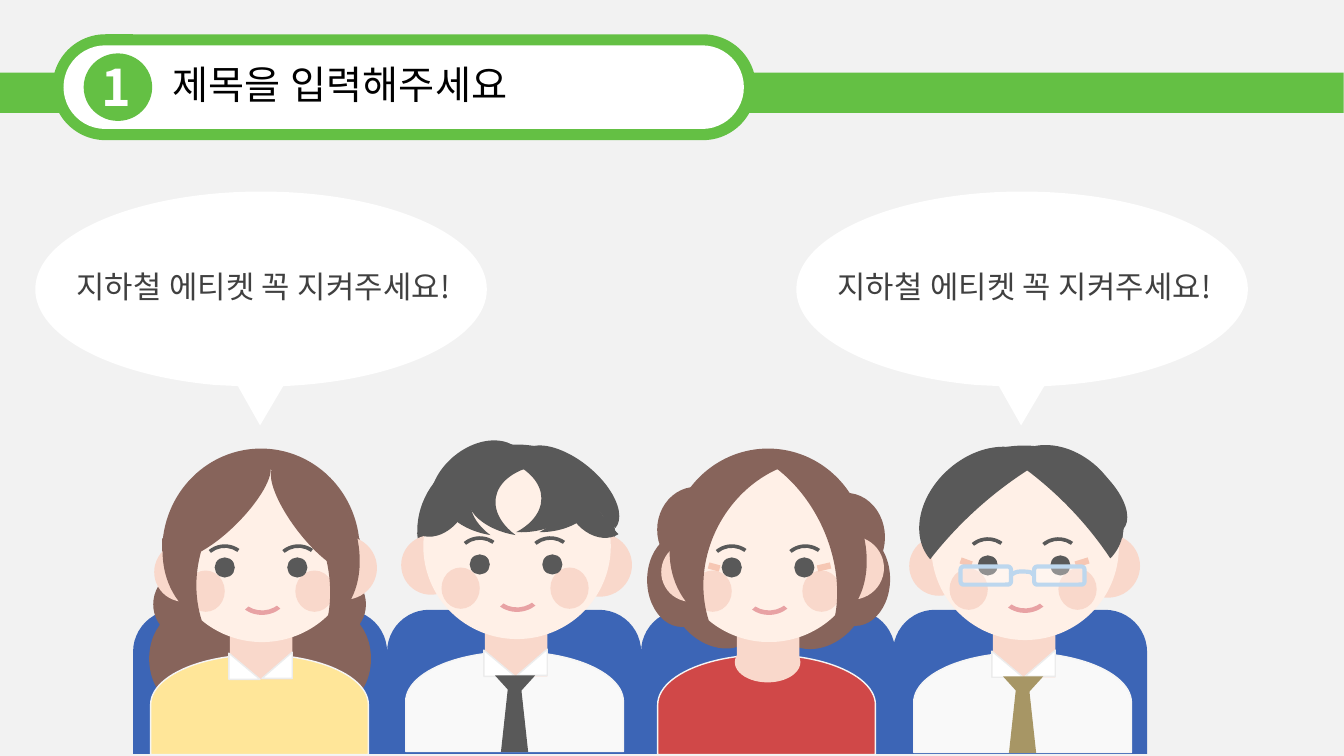
import lxml.etree
import pptx
import pptx.dml.color
import pptx.enum.shapes
import pptx.enum.text
import pptx.oxml.ns
import pptx.util

Inches = pptx.util.Inches
Pt = pptx.util.Pt
RGBColor = pptx.dml.color.RGBColor
SHAPE = pptx.enum.shapes.MSO_SHAPE
qn = pptx.oxml.ns.qn

FONT = "Noto Sans CJK KR"
WIDTH, HEIGHT = 40 / 3, 7.5
BACKDROP = RGBColor(0xF2, 0xF2, 0xF2)
GREEN = RGBColor(0x64, 0xC0, 0x44)
WHITE = RGBColor(0xFF, 0xFF, 0xFF)
BLACK = RGBColor(0x00, 0x00, 0x00)
GRAY_TEXT = RGBColor(0x40, 0x40, 0x40)
SEAT_BLUE = RGBColor(0x3C, 0x65, 0xB6)
BROWN = RGBColor(0x87, 0x64, 0x5B)
CHARCOAL = RGBColor(0x59, 0x59, 0x59)
SKIN = RGBColor(0xFF, 0xF0, 0xE7)
PINK = RGBColor(0xF9, 0xD8, 0xCB)
BLUSH = RGBColor(0xF6, 0xC7, 0xB4)
LIPS = RGBColor(0xE8, 0xA2, 0xA4)
YELLOW = RGBColor(0xFF, 0xE6, 0x99)
RED = RGBColor(0xD0, 0x48, 0x48)
SHIRT = RGBColor(0xF9, 0xF9, 0xF9)
CLOTHES_EDGE = RGBColor(0xF5, 0xF5, 0xF5)
COLLAR_EDGE = RGBColor(0xEC, 0xEC, 0xEC)
KHAKI = RGBColor(0xA7, 0x96, 0x65)
GLASSES = RGBColor(0xBD, 0xD7, 0xEE)

# Hair parts, measured from the corner of the face: left, top, width, height, turn, thickness
LONG_HAIR = [(1.27, 1.12, .69, .69), (1.32, 1.54, .69, .93), (-.19, 1.54, .69, .93),
             (-.15, 1.12, .69, .69), (-.06, -.08, 1.96, 2.02)]
CURLY_HAIR = [(1.11, 1.05, .69, .93, 51.9), (.04, 1.04, .69, .93, 130.1),
              (1.31, .36, .77, .88), (1.44, .75, .69, .93), (-.28, .76, .69, .93),
              (-.18, .3, .77, .85), (-.06, -.08, 1.96, 2.02)]
PARTING = [(.01, -.2, .77, 1.75, 27.5, .543), (1.16, -.22, .66, 1.82, 155.5, .55)]
LONG_FRINGE = [(1.24, -.04, .41, 1.3, 322.5), (.33, -.13, .41, 1.3, 45)]
CURLED_LOCKS = ([(x, .1, .54, .67, 9, .535) for x in (.18, .43)]
                + [(x, .11, .54, .67, 180, .535) for x in (.92, .97, 1.15)]
                + [(.51, -.56, .84, 1.85, 90, .246), (1.45, .16, .3, .78, 327.6, .875),
                   (.11, .14, .3, .78, 210, .875), (.22, -.36, .4, 1.1, 48.7, .875),
                   (1.39, -.35, .3, 1.19, 129.2, .875)])
SWEPT_LOCKS = [(.08, -.38, .55, 1.46, 48.7, .875), (1.39, -.35, .3, 1.19, 129.2, .875),
               (1.2, -.36, .55, 1.4, 135, .875)]

# Curved outlines: C takes three points, L takes one
BUBBLE = [(2.24, 0), (3.48, 0), (4.48, .43), (4.48, .97), (4.48, 1.47), (3.6, 1.88),
          (2.47, 1.93), (2.46, 1.93), (2.23, 2.32), (2.01, 1.93), (1.79, 1.92),
          (.77, 1.83), (0, 1.44), (0, .97), (0, .43), (1.01, 0), (2.24, 0)]
BUBBLE_STEPS = "CCLLLLCC"
BRIDGE = [(.78, 1.2), (.81, 1.18), (.84, 1.16), (.88, 1.16), (.91, 1.16), (.97, 1.16),
          (.99, 1.17), (1.01, 1.18), (1.01, 1.19), (1.01, 1.2)]
BRIDGE_STEPS = "CCC"


class Region:
    """A set of shapes placed from one corner, in inches."""

    def __init__(self, shapes, left, top):
        self.shapes, self.left, self.top = shapes, left, top

    def point(self, x, y):
        return Inches(self.left + x), Inches(self.top + y)

    def shape(self, kind, x, y, width, height, fill, turn=0, adjust=(), edge=None,
              edge_width=1, flip=False):
        part = self.shapes.add_shape(kind, *self.point(x, y), Inches(width), Inches(height))
        part.rotation = turn
        for index, value in enumerate(adjust):
            part.adjustments[index] = value
        if flip:
            part._element.spPr.get_or_add_xfrm().set("flipH", "1")
        paint(part, fill, edge, edge_width)
        return part

    def ellipse(self, x, y, width, height, fill, turn=0):
        return self.shape(SHAPE.OVAL, x, y, width, height, fill, turn)

    def moons(self, locks, fill):
        for x, y, width, height, turn, thickness in locks:
            self.shape(SHAPE.MOON, x, y, width, height, fill, turn, [thickness])

    def outline(self, points, steps, closed):
        start, *others = [self.point(*point) for point in points]
        builder = self.shapes.build_freeform(*start)
        builder.add_line_segments(others, close=closed)
        part = builder.convert_to_shape()
        segments = iter(part._element.spPr.findall(".//" + qn("a:lnTo")))
        for step in steps:
            segment = next(segments)
            if step == "C":
                segment.tag = qn("a:cubicBezTo")
                for _ in range(2):
                    control = next(segments)
                    segment.append(control[0])
                    control.getparent().remove(control)
        return part

    def text(self, x, y, width, height, words, size, color, bold=False):
        box = self.shapes.add_textbox(*self.point(x, y), Inches(width), Inches(height))
        write(box.text_frame, words, size, color, bold)


def paint(part, fill, edge=None, edge_width=1):
    part.shadow.inherit = False
    if fill is None:
        part.fill.background()
    else:
        part.fill.solid()
        part.fill.fore_color.rgb = fill
    if edge is None:
        part.line.fill.background()
    else:
        part.line.color.rgb = edge
        part.line.width = Pt(edge_width)


def write(frame, words, size, color, bold=False):
    frame.word_wrap = True
    frame.vertical_anchor = pptx.enum.text.MSO_ANCHOR.TOP
    paragraph = frame.paragraphs[0]
    paragraph.text = words
    paragraph.alignment = pptx.enum.text.PP_ALIGN.LEFT
    font = paragraph.font
    font.size, font.bold, font.name = Pt(size), bold, FONT
    font.color.rgb = color
    font._rPr.set("spc", "20")
    lxml.etree.SubElement(font._rPr, qn("a:ea"), typeface=FONT)


def header(slide, left, top, number, words):
    region = Region(slide.shapes, left, top)
    region.shape(SHAPE.RECTANGLE, -.04, .38, 13.37, .4, GREEN)
    region.shape(SHAPE.ROUNDED_RECTANGLE, .52, 0, 6.98, 1.05, GREEN, adjust=[.5])
    region.shape(SHAPE.ROUNDED_RECTANGLE, .63, .11, 6.75, .83, WHITE, adjust=[.5])
    region.ellipse(.83, .19, .68, .67, GREEN)
    title = slide.shapes.title
    title.left, title.top = region.point(1.61, .21)
    title.width, title.height = Inches(4.74), Inches(.57)
    write(title.text_frame, words, 28, BLACK)
    slide.shapes._spTree.append(title._element)  # in front of the white pill
    region.text(.91, .17, .54, .71, number, 36, WHITE, bold=True)


def seats(slide, top, lefts):
    for left in lefts:
        Region(slide.shapes, left, top).shape(SHAPE.ROUND_2_SAME_RECTANGLE, 0, 0, 2.52, 1.43,
                                              SEAT_BLUE, adjust=[.292, 0])


def bust(person, clothes, ear_left, ear_top, neck_height=.72):
    person.shape(SHAPE.FLOWCHART_DELAY, .41, 1.38, .99, 2.16, clothes, 270, edge=CLOTHES_EDGE)
    person.shape(SHAPE.RECTANGLE, .61, 1.49, .62, neck_height, PINK)
    person.ellipse(ear_left, ear_top, .59, .59, PINK)
    person.ellipse(1.43, .79, .64, .63, PINK)
    person.ellipse(0, 0, 1.86, 1.84, SKIN)
    for x in (.18, 1.26):
        person.ellipse(x, 1.13, .38, .41, PINK)


def collar(person):
    person.shape(SHAPE.RIGHT_TRIANGLE, .6, 1.95, .31, .26, WHITE, edge=COLLAR_EDGE)
    person.shape(SHAPE.RIGHT_TRIANGLE, .93, 1.94, .3, .26, WHITE, edge=COLLAR_EDGE, flip=True)


def features(person, brows, brow_top):
    person.shape(SHAPE.BLOCK_ARC, .68, 1.15, .51, .42, LIPS, 176.2, [134.25, 192.99, .106])
    for eye, brow in zip((.46, 1.18), brows):
        person.ellipse(eye, 1, .2, .2, CHARCOAL)
        person.shape(SHAPE.BLOCK_ARC, brow, brow_top, .5, .5, CHARCOAL, 305.5,
                     [108, 153.07, .071], flip=True)


def blush(person, strokes):
    for start, end in strokes:
        stroke = person.shapes.add_connector(pptx.enum.shapes.MSO_CONNECTOR.STRAIGHT,
                                             *person.point(*start), *person.point(*end))
        stroke.line.color.rgb = BLUSH
        stroke.line.width = Pt(4.5)
        lxml.etree.SubElement(stroke._element.spPr, qn("a:effectLst"))


def glasses(person):
    for x in (.29, 1.02):
        lens = person.shape(SHAPE.ROUNDED_RECTANGLE, x, 1.11, .5, .18, WHITE,
                            edge=GLASSES, edge_width=3)
        tint = lens._element.spPr.find(qn("a:solidFill"))[0]
        lxml.etree.SubElement(tint, qn("a:alpha"), val="34000")
    paint(person.outline(BRIDGE, BRIDGE_STEPS, closed=False), None, GLASSES, 3)


def woman(slide, left, top, clothes, back_hair, long_hair):
    person = Region(slide.shapes.add_group_shape().shapes, left, top)
    for lock in back_hair:
        person.ellipse(*lock[:4], BROWN, *lock[4:])
    if long_hair:
        person.shape(SHAPE.RECTANGLE, -.06, .81, 1.96, 1.75, BROWN)
    bust(person, clothes, -.14, .85, .72 if long_hair else .57)
    person.moons(PARTING, BROWN)
    features(person, (.31, 1.04), .87)
    if long_hair:
        collar(person)
        for lock in LONG_FRINGE:
            person.ellipse(*lock[:4], BROWN, lock[4])
    else:
        blush(person, [((.33, 1.08), (.44, 1.11)), ((1.41, 1.11), (1.54, 1.08))])
        person.ellipse(.59, 1.84, .65, .4, PINK)


def man(slide, left, top, tie, locks, wears_glasses):
    person = Region(slide.shapes.add_group_shape().shapes, left, top)
    person.ellipse(-.06, -.09, 1.96, 1.71, CHARCOAL)
    bust(person, SHIRT, -.22, .81)
    collar(person)
    features(person, (.31, 1.01), .82)
    person.shape(SHAPE.ISOSCELES_TRIANGLE, .71, 2.2, .4, .22, tie, 180)
    person.shape(SHAPE.TRAPEZOID, .77, 2.34, .27, .62, tie)
    person.moons(locks, CHARCOAL)
    if wears_glasses:
        blush(person, [((.29, 1.05), (.4, 1.09)), ((1.43, 1.09), (1.56, 1.05))])
        glasses(person)


def speech_bubble(slide, left, top, words):
    region = Region(slide.shapes, left, top)
    paint(region.outline(BUBBLE, BUBBLE_STEPS, closed=True), WHITE)
    region.text(.31, .71, 4.02, .84, words, 22, GRAY_TEXT)


def main():
    deck = pptx.Presentation()
    deck.slide_width, deck.slide_height = Inches(WIDTH), Inches(HEIGHT)
    slide = deck.slides.add_slide(deck.slide_layouts[5])
    Region(slide.shapes, 0, 0).shape(SHAPE.RECTANGLE, 0, 0, WIDTH, HEIGHT, BACKDROP)
    header(slide, 0, .34, "1", "제목을 입력해주세요")
    seats(slide, 6.05, (1.32, 3.84, 6.36, 8.86))
    woman(slide, 1.67, 4.53, YELLOW, LONG_HAIR, long_hair=True)
    man(slide, 4.2, 4.5, CHARCOAL, CURLED_LOCKS, wears_glasses=False)
    woman(slide, 6.7, 4.53, RED, CURLY_HAIR, long_hair=False)
    man(slide, 9.24, 4.51, KHAKI, SWEPT_LOCKS, wears_glasses=True)
    for left in (.35, 7.9):
        speech_bubble(slide, left, 1.9, "지하철 에티켓 꼭 지켜주세요!")
    deck.save("out.pptx")


if __name__ == "__main__":
    main()
